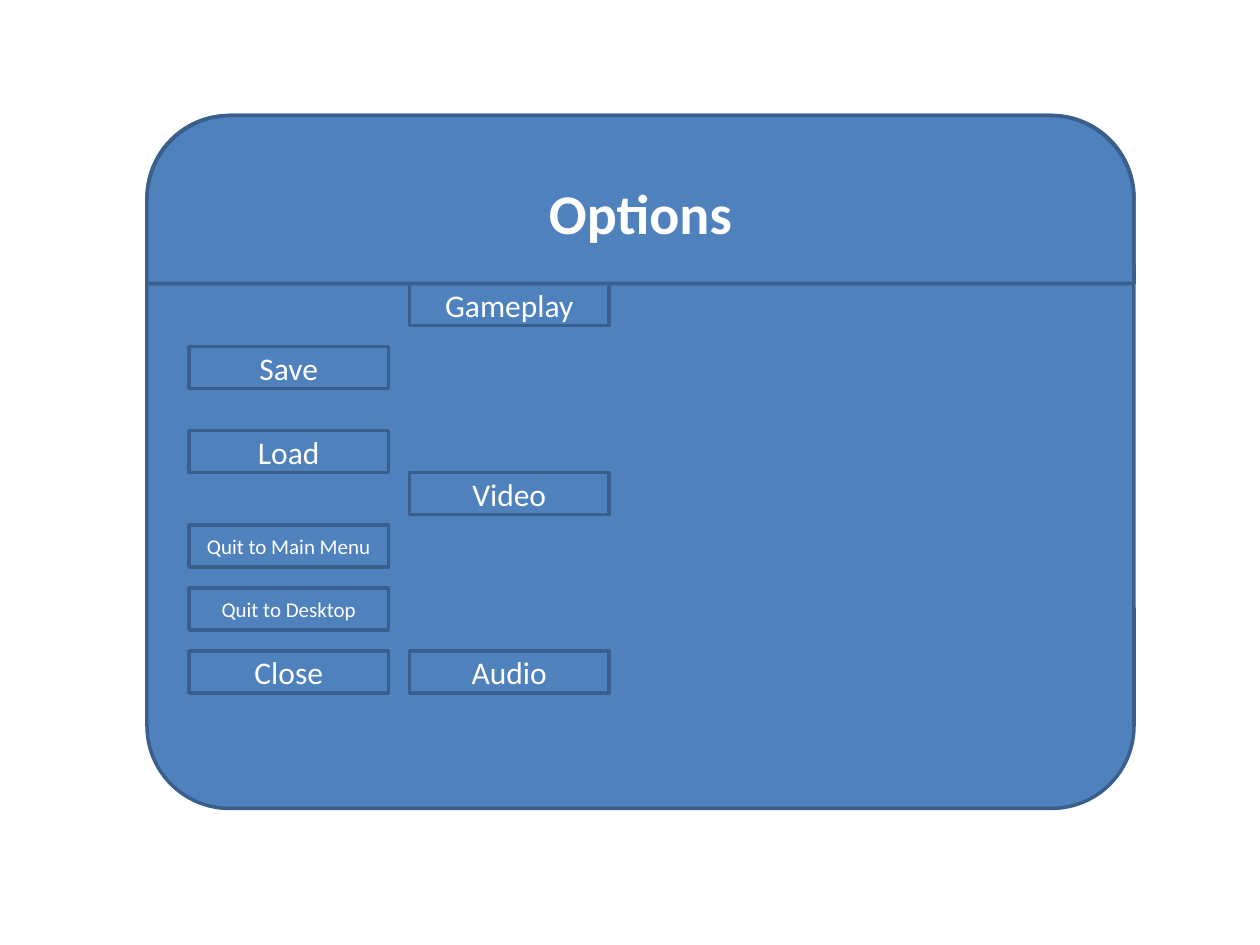
from pptx import Presentation
from pptx.dml.color import RGBColor
from pptx.enum.shapes import MSO_SHAPE
from pptx.enum.text import MSO_ANCHOR, PP_ALIGN
from pptx.util import Pt

COLORS = {"panel": "4F81BD", "border": "3A5F8C", "text": "FFFFFF"}
FONT = "Calibri"
TITLE = "Options"
MENU_COLUMNS = [
    (234, [("Gameplay", 162, 18), ("Video", 270, 18), ("Audio", 372, 18)]),
    (108, [
        ("Save", 198, 18),
        ("Load", 246, 18),
        ("Quit to Main Menu", 300, 12),
        ("Quit to Desktop", 336, 12),
        ("Close", 372, 18),
    ]),
]
BUTTON_WIDTH, BUTTON_HEIGHT = 114, 24
PANEL_LEFT, PANEL_TOP, PANEL_WIDTH, PANEL_HEIGHT = 84, 66, 564, 396
HEADER_HEIGHT = 96
TITLE_INSET = 14


def color(name):
    return RGBColor.from_string(COLORS[name])


def add_block(slide, preset, left, top, width, height, adjustments=()):
    block = slide.shapes.add_shape(preset, Pt(left), Pt(top), Pt(width), Pt(height))
    for index, value in enumerate(adjustments):
        block.adjustments[index] = value
    block.shadow.inherit = False
    block.fill.solid()
    block.fill.fore_color.rgb = color("panel")
    block.line.color.rgb = color("border")
    block.line.width = Pt(2)
    return block


def write_label(holder, text, size, bold=False):
    frame = holder.text_frame
    frame.text = text
    frame.word_wrap = True
    frame.vertical_anchor = MSO_ANCHOR.MIDDLE
    paragraph = frame.paragraphs[0]
    paragraph.alignment = PP_ALIGN.CENTER
    paragraph.font.name = FONT
    paragraph.font.size = Pt(size)
    paragraph.font.bold = bold
    paragraph.font.color.rgb = color("text")


def main():
    presentation = Presentation()
    presentation.slide_width, presentation.slide_height = Pt(720), Pt(540)
    slide = presentation.slides.add_slide(presentation.slide_layouts[5])

    add_block(slide, MSO_SHAPE.ROUNDED_RECTANGLE, PANEL_LEFT, PANEL_TOP,
              PANEL_WIDTH, PANEL_HEIGHT, [0.119])
    for left, buttons in MENU_COLUMNS:
        for label, top, size in buttons:
            button = add_block(slide, MSO_SHAPE.RECTANGLE, left, top,
                               BUTTON_WIDTH, BUTTON_HEIGHT)
            write_label(button, label, size)
    add_block(slide, MSO_SHAPE.ROUND_2_SAME_RECTANGLE, PANEL_LEFT, PANEL_TOP,
              PANEL_WIDTH, HEADER_HEIGHT, [0.5, 0])

    title = slide.shapes.title
    title.left, title.top = Pt(PANEL_LEFT), Pt(PANEL_TOP + TITLE_INSET)
    title.width, title.height = Pt(PANEL_WIDTH), Pt(HEADER_HEIGHT - TITLE_INSET)
    write_label(title, TITLE, 32, bold=True)
    slide.shapes.element.append(title.element)

    presentation.save("out.pptx")


if __name__ == "__main__":
    main()
